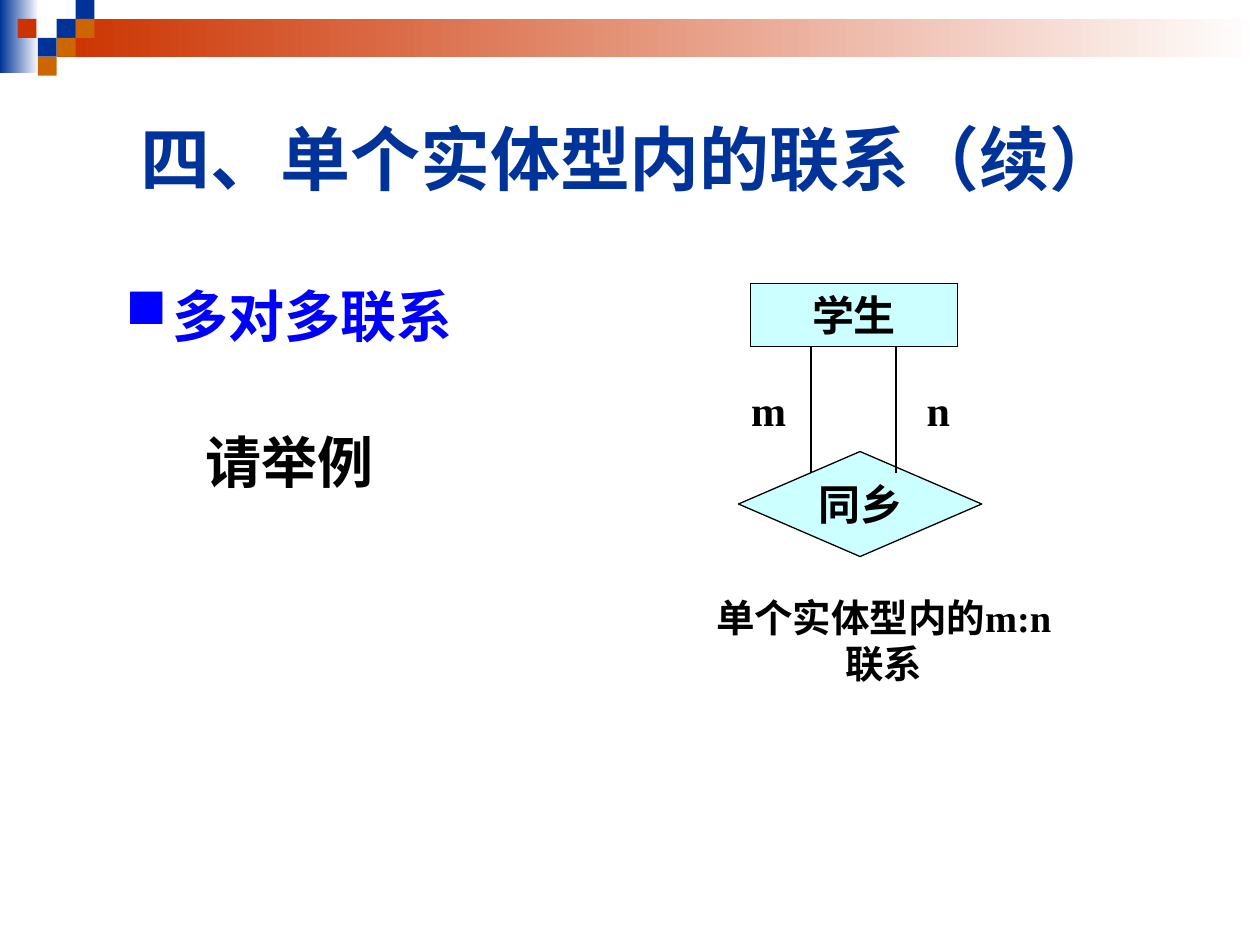
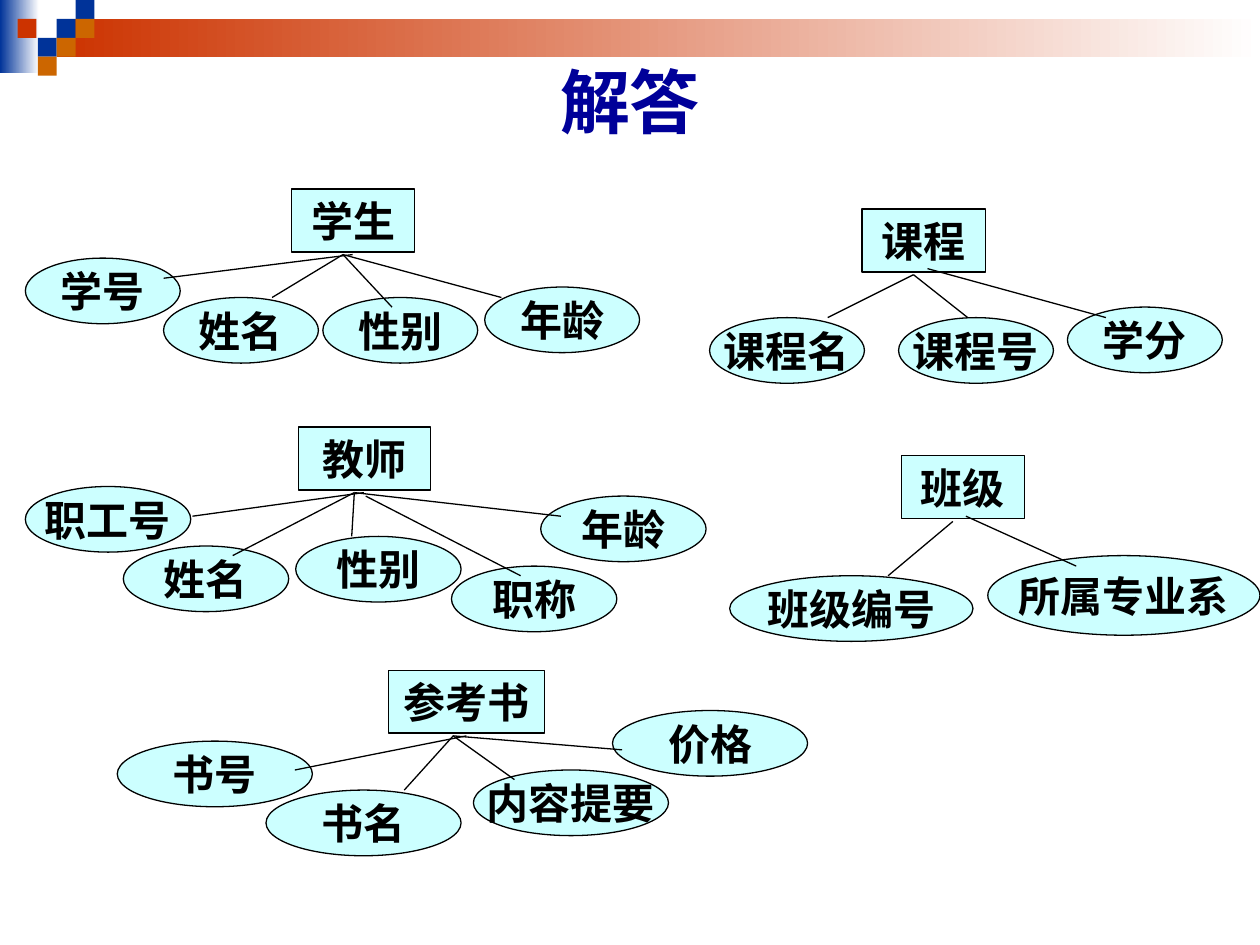
import collections

import pptx
import pptx.dml.color
import pptx.enum.shapes
import pptx.enum.text
import pptx.oxml.ns
import pptx.util
from lxml import etree

Pt = pptx.util.Pt
SHAPES = pptx.enum.shapes.MSO_SHAPE
ANCHOR = pptx.enum.text.MSO_ANCHOR
CENTER = pptx.enum.text.PP_ALIGN.CENTER

BLACK, WHITE = "000000", "FFFFFF"
NAVY, RED, ORANGE = "003399", "CC3300", "CC6600"
DARK_BLUE, BLUE, PALE_CYAN = "000099", "0000FF", "CCFFFF"
TITLE_FONT, BODY_FONT = "Arial", "Times New Roman"
SQUARE = 10.8
SQUARES = [
    (3, 1, NAVY), (4, 0, NAVY), (4, 1, ORANGE), (2, 2, NAVY),
    (0.93, 1, RED), (3, 2, ORANGE), (2, 3, ORANGE),
]
BOX_H = 36

Entity = collections.namedtuple("Entity", "name x y w hub oval attributes")
Attribute = collections.namedtuple(
    "Attribute", "name x y end start oval", defaults=(None, None))

ENTITIES = [
    Entity("学生", 166.5, 108, 70.5, (196, 145.5), (88.5, 37.5), [
        Attribute("学号", 14.5, 147.5, (93.5, 159), start=(201.5, 145.5)),
        Attribute("年龄", 277, 164, (286.5, 170)),
        Attribute("性别", 184.5, 170, (224, 175.5)),
        Attribute("姓名", 93.5, 170, (155.5, 170)),
    ]),
    Entity("教师", 170.5, 244, 75.5, (202.5, 281.5), (94.5, 37.5), [
        Attribute("职工号", 14.5, 278, (110, 295), start=(208, 281.5)),
        Attribute("年龄", 309, 283.5, (320.5, 295)),
        Attribute("性别", 169, 306.5, (201, 306.5)),
        Attribute("姓名", 70.5, 312, (133, 317.5)),
        Attribute("职称", 258, 323.5, (297.5, 329), start=(209, 283.5)),
    ]),
    Entity("参考书", 222, 383, 89, (259, 420.5), (111.5, 37.5), [
        Attribute("书号", 67, 423.5, (168.5, 440), start=(266.5, 420.5)),
        Attribute("价格", 350, 406, (355.5, 428.5)),
        Attribute("内容提要", 270.5, 440, (294, 445.5)),
        Attribute("书名", 152, 451.5, (231, 451.5)),
    ]),
    Entity("课程", 492.5, 119.5, 70.5, (522, 157), (88.5, 37.5), [
        Attribute("学分", 610, 175.5, (632, 181.5), start=(530, 153.5)),
        Attribute("课程号", 513.5, 181.5, (553, 181.5)),
        Attribute("课程名", 405.5, 181.5, (473, 181.5)),
    ]),
    Entity("班级", 515, 260.5, 70.5, (544.5, 298), (139, 37.5), [
        Attribute("所属专业系", 564.5, 317.5, (615, 323.5),
                  start=(552, 295), oval=(155.5, 45.5)),
        Attribute("班级编号", 417, 329, (507.5, 329)),
    ]),
]


def rgb(value):
    """Turn a hex string into a colour."""
    return pptx.dml.color.RGBColor.from_string(value)


def write(p, text, size=24, color=BLACK, font=BODY_FONT):
    """Write centred bold text into a paragraph."""
    p.alignment = CENTER
    r = p.add_run()
    r.text = text
    r.font.name = font
    r.font.size = Pt(size)
    r.font.bold = True
    r.font.color.rgb = rgb(color)


def add_block(s, x, y, w, h, color, fade_to=None):
    """Add a borderless rectangle, solid or fading to the right."""
    sp = s.shapes.add_shape(SHAPES.RECTANGLE, Pt(x), Pt(y), Pt(w), Pt(h))
    sp.shadow.inherit = False
    sp.line.fill.background()
    if fade_to is None:
        sp.fill.solid()
        sp.fill.fore_color.rgb = rgb(color)
        return
    sp.fill.gradient()
    sp.fill.gradient_angle = 0
    for stop, position, tone in zip(sp.fill.gradient_stops, (0, 1), (color, fade_to)):
        stop.position = position
        stop.color.rgb = rgb(tone)


def add_node(s, kind, text, x, y, w, h):
    """Add an outlined diagram node with its label."""
    sp = s.shapes.add_shape(kind, Pt(x), Pt(y), Pt(w), Pt(h))
    sp.shadow.inherit = False
    sp.fill.solid()
    sp.fill.fore_color.rgb = rgb(PALE_CYAN)
    sp.line.color.rgb = rgb(BLACK)
    sp.line.width = Pt(0.75)
    tf = sp.text_frame
    tf.word_wrap = False
    tf.vertical_anchor = ANCHOR.MIDDLE
    write(tf.paragraphs[0], text)


def add_line(s, start, end):
    """Add a thin black line between two points."""
    points = [Pt(v) for v in (*start, *end)]
    line = s.shapes.add_connector(pptx.enum.shapes.MSO_CONNECTOR.STRAIGHT, *points)
    line.line.color.rgb = rgb(BLACK)
    line.line.width = Pt(0.75)
    etree.SubElement(line._element.spPr, pptx.oxml.ns.qn("a:effectLst"))


def add_text(s, x, y, w, h, text=None, **style):
    """Add a wrapping text box and return its text frame."""
    tf = s.shapes.add_textbox(Pt(x), Pt(y), Pt(w), Pt(h)).text_frame
    tf.word_wrap = True
    if text:
        write(tf.paragraphs[0], text, **style)
    return tf


def set_hanging(p, indent, bullet=None, color=BLACK):
    """Give a paragraph a hanging indent and an optional coloured bullet."""
    pPr = p._p.get_or_add_pPr()
    pPr.set("marL", str(Pt(indent)))
    pPr.set("indent", str(Pt(-indent)))
    if bullet:
        clr = etree.SubElement(pPr, pptx.oxml.ns.qn("a:buClr"))
        etree.SubElement(clr, pptx.oxml.ns.qn("a:srgbClr"), val=color)
        etree.SubElement(pPr, pptx.oxml.ns.qn("a:buChar"), char=bullet)


def add_slide(prs, title, y, h, color):
    """Add a slide with the header band, the squares and a title."""
    s = prs.slides.add_slide(prs.slide_layouts[5])
    add_block(s, 0, 0, 22.3, 41.8, NAVY, fade_to=WHITE)
    add_block(s, 32.4, SQUARE, 687.6, 2 * SQUARE, RED, fade_to=WHITE)
    for column, row, fill in SQUARES:
        add_block(s, column * SQUARE, row * SQUARE, SQUARE, SQUARE, fill)
    sp = s.shapes.title
    sp.left, sp.top, sp.width, sp.height = Pt(36), Pt(y), Pt(648), Pt(h)
    tf = sp.text_frame
    tf.auto_size = pptx.enum.text.MSO_AUTO_SIZE.NONE
    tf.vertical_anchor = ANCHOR.MIDDLE
    write(tf.paragraphs[0], title, size=40, color=color, font=TITLE_FONT)
    return s


def add_relationship(s):
    """Draw the many-to-many relationship inside one entity type."""
    add_node(s, SHAPES.RECTANGLE, "学生", 429, 162, 118, BOX_H)
    add_node(s, SHAPES.DIAMOND, "同乡", 422, 258, 139, 60)
    for label, label_x, line_x in (("m", 422, 463.5), ("n", 519, 512)):
        add_line(s, (line_x, 198), (line_x, 270))
        add_text(s, label_x, 216, 34.5, BOX_H, label)
    add_text(s, 401, 336, 208, 60.5, "单个实体型内的m:n联系", size=22)


def add_question(s):
    """Write the bulleted heading and the request for an example."""
    tf = add_text(s, 60.5, 157.5, 209.5, 130.5)
    p = tf.paragraphs[0]
    set_hanging(p, 27, bullet="■", color=BLUE)
    write(p, "多对多联系", size=32, color=BLUE)
    p = tf.add_paragraph()
    set_hanging(p, 27)
    p.line_spacing = 1.2
    p.space_before = Pt(37)
    write(p, "请举例", size=32)


def add_entity(s, entity):
    """Draw an entity with its attributes and their lines."""
    add_node(s, SHAPES.RECTANGLE, entity.name, entity.x, entity.y, entity.w, BOX_H)
    for a in entity.attributes:
        add_node(s, SHAPES.OVAL, a.name, a.x, a.y, *(a.oval or entity.oval))
    for a in entity.attributes:
        add_line(s, a.start or entity.hub, a.end)


def main():
    """Build both slides and save the file."""
    prs = pptx.Presentation()
    prs.slide_width, prs.slide_height = Pt(720), Pt(540)
    s = add_slide(prs, "四、单个实体型内的联系（续）", 36, 108, NAVY)
    add_relationship(s)
    add_question(s)
    s = add_slide(prs, "解答", 26, 62.5, DARK_BLUE)
    for entity in ENTITIES:
        add_entity(s, entity)
    prs.save("out.pptx")


if __name__ == "__main__":
    main()
